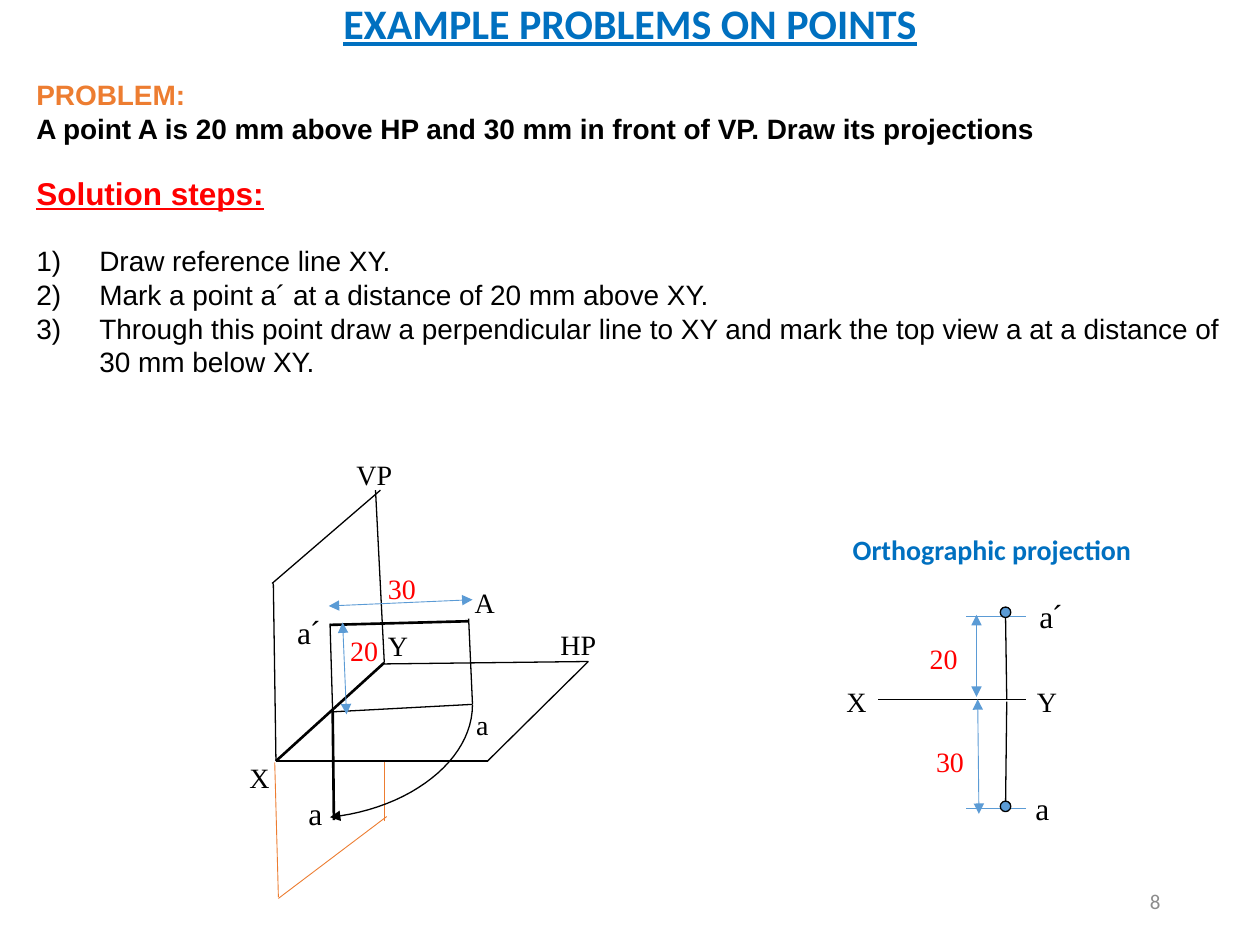
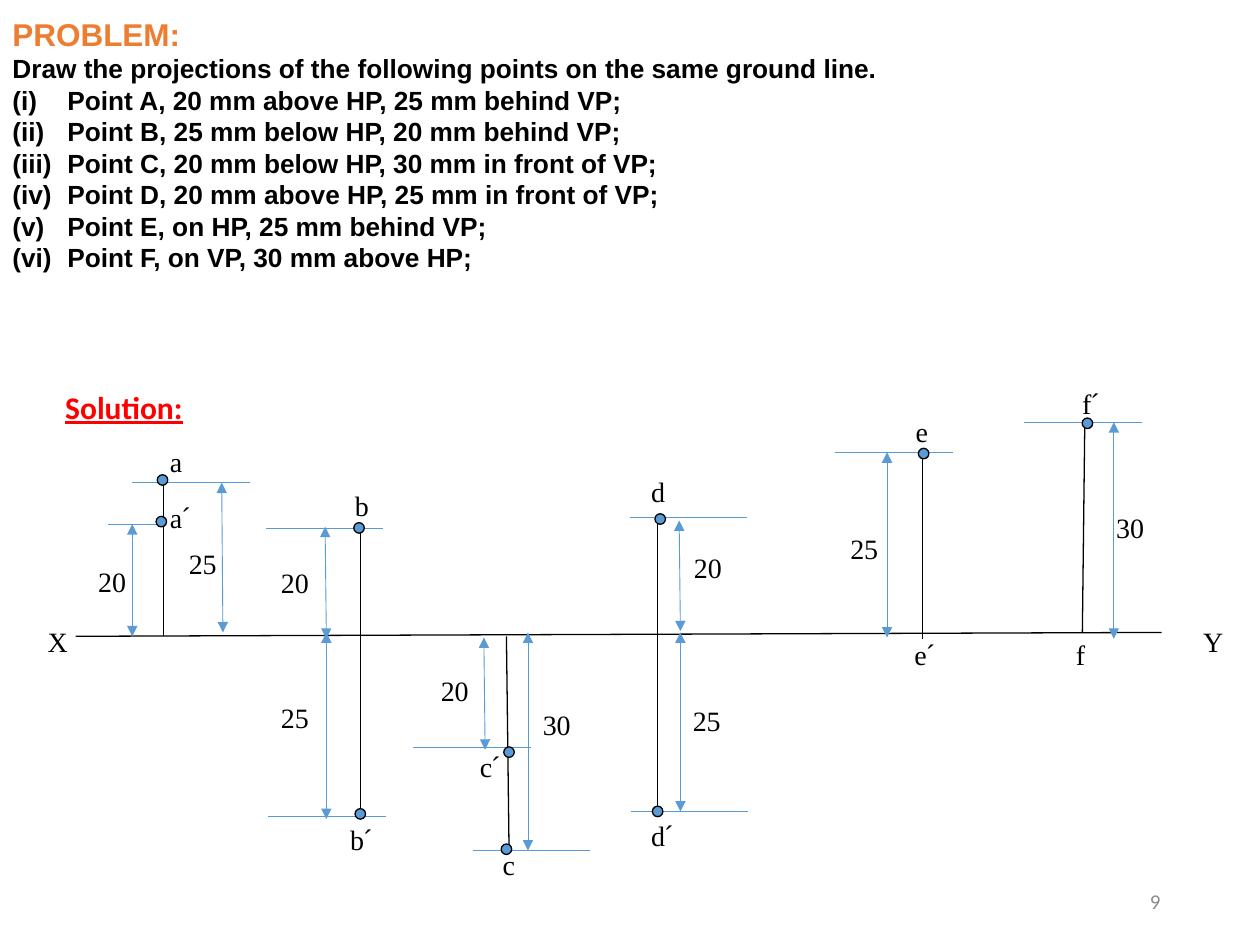
from dataclasses import dataclass
from typing import Any, Iterable, Optional

from lxml.etree import SubElement
from pptx import Presentation
from pptx.dml.color import RGBColor as RGB
from pptx.enum.shapes import MSO_CONNECTOR as CONN, MSO_SHAPE as SHAPE
from pptx.enum.text import MSO_ANCHOR as ANCHOR, MSO_AUTO_SIZE as AUTO, PP_ALIGN as ALIGN
from pptx.oxml.ns import qn
from pptx.util import Pt

BLACK = RGB(0x00, 0x00, 0x00)
RED = RGB(0xFF, 0x00, 0x00)
ORANGE = RGB(0xED, 0x7D, 0x31)
BLUE = RGB(0x00, 0x70, 0xC0)
LIGHT_BLUE = RGB(0x5B, 0x9B, 0xD5)
GRAY = RGB(0x8C, 0x8C, 0x8C)

SERIF, SANS, BODY = "Times New Roman", "Arial", "Calibri"
PRIME = "´"
EXT_W = 67   # usual length of an extension line
DOT = 6      # diameter of a point marker


@dataclass(frozen=True)
class Pen:
    color: RGB
    width: float
    ends: tuple[str, ...] = ()


EDGE = Pen(BLACK, 0.75)
THICK = Pen(BLACK, 1.5)
FOLD = Pen(ORANGE, 0.5)
EXT = Pen(LIGHT_BLUE, 0.5)
DIM = Pen(LIGHT_BLUE, 0.5, ("headEnd", "tailEnd"))
SWING = Pen(BLACK, 0.75, ("tailEnd",))


@dataclass(frozen=True)
class Para:
    text: str
    color: RGB
    fmt: dict[str, Any]
    align: ALIGN = ALIGN.LEFT
    after: float = 0
    number: Optional[str] = None   # numbering scheme
    hang: float = 0


@dataclass(frozen=True)
class Label:
    x: float
    y: float
    text: str
    w: Optional[float] = None
    size: int = 16
    color: RGB = BLACK


Segment = tuple[float, float, float, float]
Spot = tuple[float, float]


def font(name: str, size: float, **extra: Any) -> dict[str, Any]:
    return {"name": name, "size": Pt(size), **extra}


def add_run(p: Any, text: str, color: RGB, fmt: dict[str, Any]) -> None:
    r = p.add_run()
    r.text = text
    for key, value in fmt.items():
        setattr(r.font, key, value)
    r.font.color.rgb = color


def add_box(s: Any, x: float, y: float, w: float, h: float, **frame: Any) -> Any:
    tf = s.shapes.add_textbox(Pt(x), Pt(y), Pt(w), Pt(h)).text_frame
    settings = {"word_wrap": True, "auto_size": AUTO.SHAPE_TO_FIT_TEXT, **frame}
    for key, value in settings.items():
        setattr(tf, key, value)
    return tf


def add_text(s: Any, x: float, y: float, w: float, h: float,
             paras: Iterable[Para], **frame: Any) -> None:
    tf = add_box(s, x, y, w, h, **frame)
    for i, para in enumerate(paras):
        p = tf.add_paragraph() if i else tf.paragraphs[0]
        p.alignment, p.space_after = para.align, Pt(para.after)
        add_run(p, para.text, para.color, para.fmt)
        if para.number:
            ppr = p._p.get_or_add_pPr()
            ppr.set("marL", str(Pt(para.hang)))
            ppr.set("indent", str(-Pt(para.hang)))
            SubElement(ppr, qn("a:buFont"), typeface="+mj-lt")
            SubElement(ppr, qn("a:buAutoNum"), type=para.number)


def add_labels(s: Any, labels: Iterable[Label]) -> None:
    for lb in labels:
        primed = PRIME in lb.text
        w = lb.w or (28 if primed else 39 if len(lb.text) > 1 else 22)
        h = 1.2 * lb.size * (2 if primed else 1) + 7.2
        p = add_box(s, lb.x, lb.y, w, h, word_wrap=not primed).paragraphs[0]
        add_run(p, lb.text.rstrip(PRIME), lb.color, font(SERIF, lb.size))
        if primed:
            add_run(p, PRIME, lb.color, font(SANS, lb.size))


def style_line(sp: Any, pen: Pen) -> None:
    sp.line.color.rgb, sp.line.width = pen.color, Pt(pen.width)
    ln = sp.line._get_or_add_ln()
    for end in pen.ends:
        SubElement(ln, qn(f"a:{end}"), type="triangle")


def add_lines(s: Any, pen: Pen, segments: Iterable[Segment]) -> None:
    for seg in segments:
        sp = s.shapes.add_connector(CONN.STRAIGHT, *map(Pt, seg))
        style_line(sp, pen)
        SubElement(sp._element.spPr, qn("a:effectLst"))


def add_extensions(s: Any, starts: Iterable[Spot], w: float = EXT_W) -> None:
    add_lines(s, EXT, [(x, y, x + w, y) for x, y in starts])


def add_dots(s: Any, centers: Iterable[Spot]) -> None:
    for x, y in centers:
        sp = s.shapes.add_shape(SHAPE.OVAL, Pt(x - DOT / 2), Pt(y - DOT / 2), Pt(DOT), Pt(DOT))
        sp.shadow.inherit = False
        sp.fill.solid()
        sp.fill.fore_color.rgb = LIGHT_BLUE
        style_line(sp, EDGE)


def add_curve(s: Any, pen: Pen, ctrl: tuple[Spot, Spot, Spot, Spot], steps: int = 24) -> None:
    """Draw a cubic Bezier curve as an open outline."""
    def at(t: float) -> Spot:
        k = ((1 - t) ** 3, 3 * t * (1 - t) ** 2, 3 * t * t * (1 - t), t ** 3)
        return (sum(a * c[0] for a, c in zip(k, ctrl)), sum(a * c[1] for a, c in zip(k, ctrl)))

    pts = [tuple(map(Pt, at(i / steps))) for i in range(steps + 1)]
    fb = s.shapes.build_freeform(*pts[0])
    fb.add_line_segments(pts[1:], close=False)
    sp = fb.convert_to_shape()
    sp.shadow.inherit = False
    sp.fill.background()
    style_line(sp, pen)


def add_page_number(s: Any, number: int) -> None:
    para = Para(str(number), GRAY, font(BODY, 12), ALIGN.RIGHT)
    add_text(s, 508.3, 500.4, 162, 28.8, [para],
             vertical_anchor=ANCHOR.MIDDLE, auto_size=AUTO.NONE)


def build_single_point(s: Any) -> None:
    # Title, problem and steps
    add_text(s, 0, -5, 720, 36, [Para("EXAMPLE PROBLEMS ON POINTS", BLUE,
             font(BODY, 24, bold=True, underline=True), ALIGN.CENTER)])
    bold = font(SANS, 16, bold=True)
    add_text(s, 13.7, 41, 598, 46, [
        Para("PROBLEM:", ORANGE, bold),
        Para("A point A is 20 mm above HP and 30 mm in front of VP. Draw its projections",
             BLACK, bold)])
    steps = ["Draw reference line XY.",
             "Mark a point a´ at a distance of 20 mm above XY.",
             "Through this point draw a perpendicular line to XY and mark the top view a "
             "at a distance of 30 mm below XY."]
    add_text(s, 13.7, 95.8, 694, 126, [
        Para("Solution steps:", RED, font(SANS, 18, bold=True, underline=True), after=18.4),
        *(Para(t, BLACK, font(SANS, 16), number="arabicParenR", hang=36) for t in steps)])

    # Pictorial view of the planes and point A
    add_lines(s, THICK, [(157.7, 434.9, 219.6, 378.7), (267.8, 355, 188.6, 357.1),
                         (190.8, 468.7, 190.1, 405.4)])
    add_lines(s, EDGE, [
        (155.5, 333.4, 217.4, 280.1), (157.7, 434.9, 156.2, 333.4),
        (219.6, 378.7, 214.6, 280.1), (278.6, 434.9, 157.7, 434.9),
        (336.2, 378, 219.6, 379.4), (278.6, 434.9, 336.2, 378),
        (270, 402.5, 189.4, 406.8), (270, 402.5, 267.8, 353.5),
        (190.1, 406.8, 188.6, 356.4)])
    add_lines(s, FOLD, [(159.1, 512.6, 157, 435.6), (219.6, 469.4, 219.6, 435.6),
                        (221, 466.6, 159.1, 513.4)])
    add_curve(s, SWING, ((270, 403), (270, 434), (235, 462), (188.6, 467)))
    add_lines(s, DIM, [(187.9, 346.3, 270, 342.7), (195.8, 355.7, 198, 408.2)])
    add_labels(s, [
        Label(162.7, 347, "a´", 28.8, 18), Label(135.4, 431.3, "X", 41.8),
        Label(214.6, 355.7, "Y", 25.9), Label(169.2, 450, "a", size=18),
        Label(214.6, 323.3, "30", color=RED), Label(193, 358.6, "20", 31, color=RED),
        Label(313.2, 355, "HP"), Label(265, 401, "a", 35.3),
        Label(196.6, 257.8, "VP"), Label(264.2, 331.2, "A", 39)])

    # Orthographic projection
    add_text(s, 480.2, 301, 183.6, 26.4,
             [Para("Orthographic projection", BLUE, font(BODY, 16, bold=True))])
    add_extensions(s, [(552.2, 352.1), (552.2, 462.2)], 33.9)
    add_lines(s, EDGE, [(586.1, 399.6, 501.8, 399.6), (574.6, 462.2, 575.3, 401),
                        (575.3, 399.6, 574.6, 351.4)])
    add_lines(s, DIM, [(558, 351.4, 558, 398.2), (558.7, 399.6, 559.4, 465.1)])
    add_dots(s, [(574.6, 460.8), (574.6, 349.9)])
    add_labels(s, [
        Label(586.8, 337.7, "a´", 28.8, 18), Label(584.6, 447.1, "a", size=18),
        Label(476.6, 387.4, "X", 41.8), Label(585.4, 387.4, "Y", 41.8),
        Label(524.2, 362.9, "20", 69, color=RED), Label(527.8, 421.9, "30", 69, color=RED)])


def build_six_points(s: Any) -> None:
    # Problem and solution heading
    bold = font(SANS, 15, bold=True)
    points = ["Point A, 20 mm above HP, 25 mm behind VP;",
              "Point B, 25 mm below HP, 20 mm behind VP;",
              "Point C, 20 mm below HP, 30 mm in front of VP;",
              "Point D, 20 mm above HP, 25 mm in front of VP;",
              "Point E, on HP, 25 mm behind VP;",
              "Point F, on VP, 30 mm above HP;"]
    add_text(s, 0, 5, 720, 156, [
        Para("PROBLEM:", ORANGE, font(SANS, 18, bold=True)),
        Para("Draw the projections of the following points on the same ground line.", BLACK, bold),
        *(Para(t, BLACK, bold, number="romanLcParenBoth", hang=31.5) for t in points)])
    add_text(s, 30.2, 218.2, 90, 28.8,
             [Para("Solution:", RED, font(BODY, 18, bold=True, underline=True))])

    # Ground line, then the projectors of A to F
    add_lines(s, EDGE, [
        (43.2, 363.6, 663.8, 361.4),
        (93.6, 363.6, 93.6, 275.8), (205.9, 466.6, 205.9, 301),
        (290.9, 486, 289.4, 363.6), (375.8, 463, 375.8, 297.4),
        (527, 365, 527, 258.5), (618.5, 361.4, 619.9, 241.9)])

    # Extension and dimension lines
    add_extensions(s, [(61.9, 299.5)], 33.1)
    add_extensions(s, [
        (75.6, 275.8), (151.9, 301.7), (153.4, 466.6), (236.2, 427), (270, 486),
        (360, 295.9), (360.7, 463.7), (477.4, 258.5), (585.4, 241.2)])
    add_lines(s, DIM, [
        (75.6, 363.6, 75.6, 299.5), (127.4, 361.4, 126.7, 275.8),
        (186.5, 365, 185.8, 301), (186.5, 468, 186.5, 361.4),
        (277.2, 428.4, 276.5, 364.3), (301.7, 486, 301.7, 361.4),
        (388.8, 360.7, 388.1, 297.4), (388.8, 463.7, 388.8, 361.4),
        (506.9, 364.3, 506.9, 258.5), (636.5, 365, 636.5, 241.2)])

    # Point markers and labels
    add_dots(s, [
        (92.2, 298.1), (92.9, 274.3), (205.2, 301.7), (205.9, 465.1), (290.9, 429.8),
        (289.4, 485.3), (377.3, 296.6), (375.8, 463.7), (527.8, 259.2), (621.4, 241.9)])
    add_labels(s, [
        Label(20.2, 353.5, "X"), Label(680.4, 353.5, "Y", 25.9),
        Label(90, 250.6, "a"), Label(90, 282.2, "a´"),
        Label(49, 319, "20"), Label(100.8, 308.9, "25"),
        Label(195.8, 275.8, "b"), Label(193, 466.6, "b´"),
        Label(153.4, 319.7, "20"), Label(153.4, 396.7, "25"),
        Label(280.1, 481, "c"), Label(267.1, 424.8, "c´"),
        Label(244.8, 381.6, "20"), Label(303.1, 401, "30"),
        Label(365, 267.8, "d"), Label(365, 464.4, "d´"),
        Label(389.5, 311, "20"), Label(388.8, 398.2, "25"),
        Label(516.2, 233.3, "e"), Label(515.5, 360.7, "e´"), Label(478.8, 300.2, "25"),
        Label(607.7, 360.7, "f"), Label(611.3, 217.4, "f´", 25.2), Label(630.7, 288, "30")])


def main() -> None:
    prs = Presentation()
    prs.slide_width, prs.slide_height = Pt(720), Pt(540)
    for number, build in enumerate((build_single_point, build_six_points), start=8):
        s = prs.slides.add_slide(prs.slide_layouts[6])
        build(s)
        add_page_number(s, number)
    prs.save("out.pptx")


if __name__ == "__main__":
    main()
